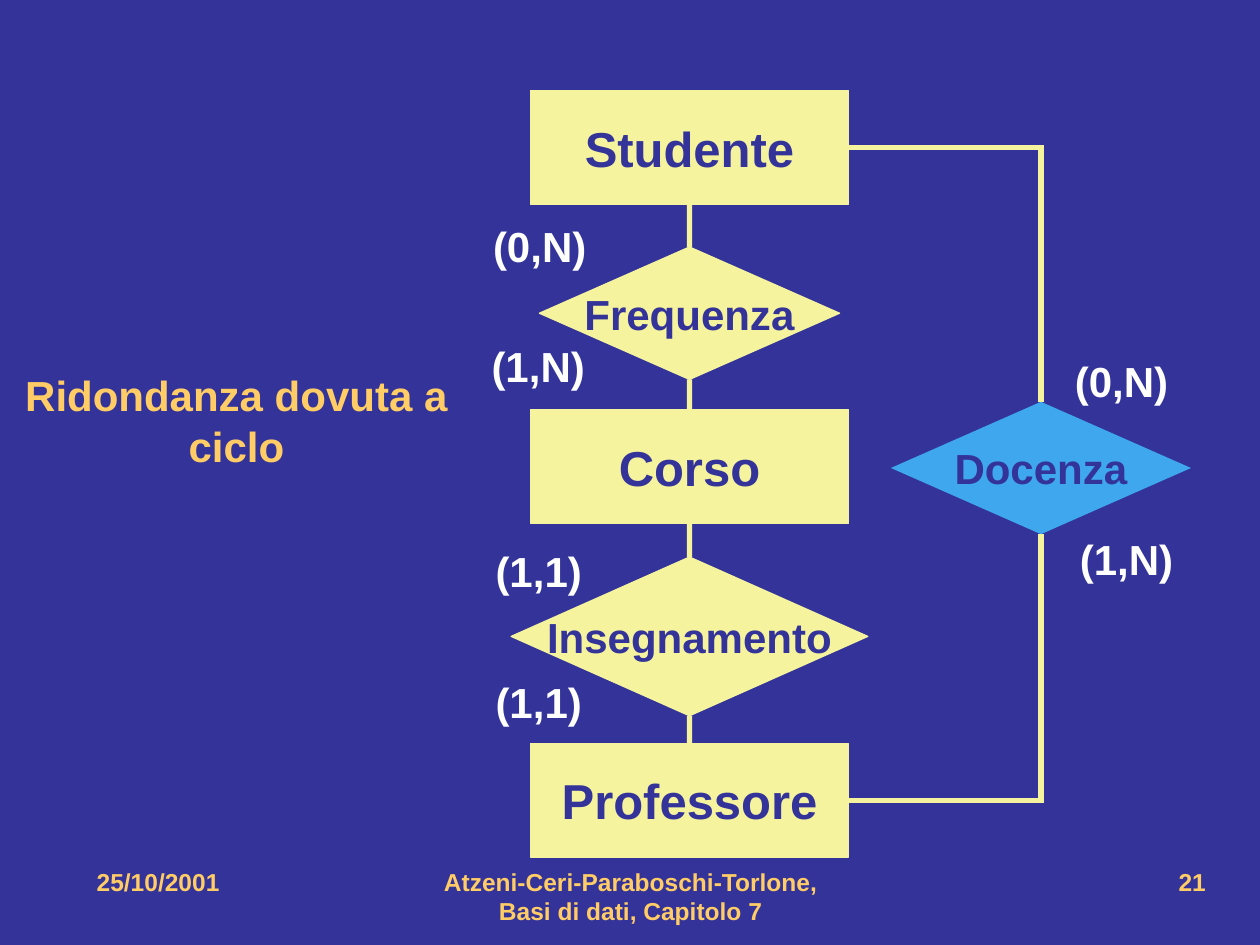
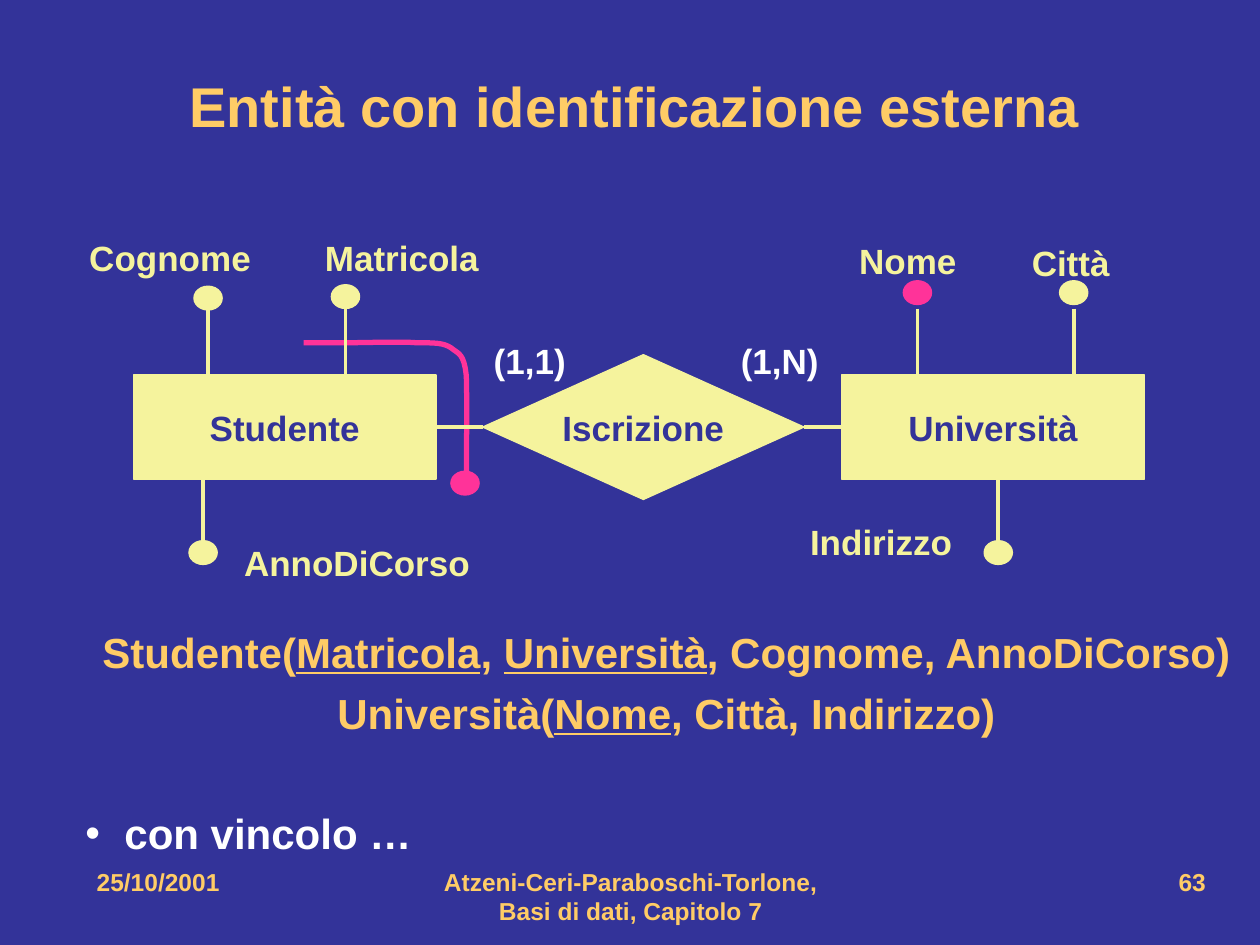
from lxml.etree import SubElement
from pptx import Presentation
from pptx.dml.color import RGBColor
from pptx.enum.shapes import MSO_CONNECTOR as LINK, MSO_SHAPE as SHAPE
from pptx.enum.text import MSO_ANCHOR as ANCHOR, MSO_AUTO_SIZE as FIT, PP_ALIGN as ALIGN
from pptx.oxml.ns import qn
from pptx.util import Cm, Pt

FONT = "Arial"
NAVY, CREAM, GOLD = "333399", "F5F39D", "FFCC66"
WHITE, PINK, SKY = "FFFFFF", "FF3399", "3EA7EE"
TOP, LEFT, BOTTOM, RIGHT = range(4)

# Footers: text and box in cm
DATE = ("25/10/2001", (1.7, 17.35, 5.51, 1.27), ALIGN.LEFT)
BOOK = ("Atzeni-Ceri-Paraboschi-Torlone, Basi di dati, Capitolo 7",
        (8.69, 17.35, 8.05, 1.27), ALIGN.CENTER)
NUMBER_BOX = (18.21, 17.35, 6.35, 1.27)

# Cycle slide: the column runs down one axis; (name, shape, top, width, height, size)
COLUMN_X = 13.9
COLUMN = [
    ("Studente", SHAPE.RECTANGLE, 1.83, 6.4, 2.29, 28),
    ("Frequenza", SHAPE.DIAMOND, 4.98, 6.05, 2.67, 24),
    ("Corso", SHAPE.RECTANGLE, 8.26, 6.4, 2.29, 28),
    ("Insegnamento", SHAPE.DIAMOND, 11.23, 7.19, 3.2, 24),
    ("Professore", SHAPE.RECTANGLE, 14.99, 6.4, 2.29, 28),
]
DOCENZA_BOX = (17.96, 8.1, 6.05, 2.67)
CYCLE_CARDINALITIES = [
    ("(0,N)", 9.58, 4.32), ("(1,N)", 9.55, 6.73),
    ("(1,1)", 9.56, 10.87), ("(1,1)", 9.56, 13.51),
    ("(0,N)", 21.31, 7.04), ("(1,N)", 21.41, 10.62),
]

# External identification slide
ENTITY_Y, ENTITY_W, ENTITY_H = 7.56, 6.1, 2.1
STUDENT_X, UNIVERSITY_X = 2.69, 16.97
ENROLMENT_BOX = (9.73, 7.15, 6.48, 2.92)
DOT_W, DOT_H = 0.57, 0.48
UPPER_STEM = (6.22, ENTITY_Y)
LOWER_STEM = (10.92, ENTITY_Y + ENTITY_H)
# (name, label left, top, width, dot left, top, dot colour, stem ends)
ATTRIBUTES = [
    ("Cognome", 1.55, 4.65, 4, 3.91, 5.77, CREAM, UPPER_STEM),
    ("Matricola", 6.3, 4.65, 4, 6.68, 5.74, CREAM, UPPER_STEM),
    ("AnnoDiCorso", 4.67, 10.8, 5.5, 3.81, 10.9, CREAM, LOWER_STEM),
    ("Nome", 17.07, 4.7, 3, 18.21, 5.66, PINK, UPPER_STEM),
    ("Città", 20.55, 4.75, 2.5, 21.36, 5.66, CREAM, UPPER_STEM),
    ("Indirizzo", 16.08, 10.36, 3.7, 19.84, 10.9, CREAM, LOWER_STEM),
]
IDENTIFIER_DOT = (9.09, 9.5)
IDENTIFIER_START = (6.12, 6.91)
IDENTIFIER_CURVES = [
    ((6.27, 6.91), (6.6, 6.91), (6.99, 6.91)),
    ((7.37, 6.91), (8.05, 6.88), (8.41, 6.91)),
    ((8.76, 6.91), (8.94, 6.91), (9.09, 7.01)),
    ((9.25, 7.14), (9.35, 7.12), (9.4, 7.57)),
    ((9.42, 8.03), (9.4, 9.32), (9.4, 9.78)),
]
ENROLMENT_CARDINALITIES = [("(1,1)", 9.53, 6.71), ("(1,N)", 14.57, 6.71)]
RELATIONS = [
    "Studente(_Matricola_, _Università_, Cognome, AnnoDiCorso)",
    "Università(_Nome_, Città, Indirizzo)",
]
CONSTRAINT = "con vincolo …"


def rgb(color):
    return RGBColor.from_string(color)


def cm(values):
    return [Cm(v) for v in values]


def write(p, text, size=24, color=GOLD, align=ALIGN.LEFT, before=0):
    """Fill a paragraph; parts between underscores are underlined."""
    p.alignment = align
    p.space_before = Pt(before)
    for i, part in enumerate(text.split("_")):
        r = p.add_run()
        r.text = part
        f = r.font
        f.name, f.size, f.bold = FONT, Pt(size), True
        f.underline = i % 2 == 1
        f.color.rgb = rgb(color)


def add_text(slide, text, box, anchor=ANCHOR.TOP, **fmt):
    tf = slide.shapes.add_textbox(*cm(box)).text_frame
    tf.word_wrap = True
    tf.vertical_anchor = anchor
    write(tf.paragraphs[0], text, **fmt)
    return tf


def add_cardinality(slide, text, box, size):
    add_text(slide, text, box, ANCHOR.MIDDLE, size=size, color=WHITE, align=ALIGN.CENTER)


def add_node(slide, kind, box, text="", fill=CREAM, outline=True, size=24):
    sp = slide.shapes.add_shape(kind, *cm(box))
    sp.shadow.inherit = False
    sp.fill.solid()
    sp.fill.fore_color.rgb = rgb(fill)
    if outline:
        sp.line.color.rgb = rgb(fill)
        sp.line.width = Pt(0.75)
    else:
        sp.line.fill.background()
    if text:
        tf = sp.text_frame
        tf.word_wrap = False
        tf.vertical_anchor = ANCHOR.MIDDLE
        write(tf.paragraphs[0], text, size, NAVY, ALIGN.CENTER)
    return sp


def add_line(slide, ends=(0, 0, 0, 0), width=2.25, kind=LINK.STRAIGHT):
    line = slide.shapes.add_connector(kind, *cm(ends))
    line.line.color.rgb = rgb(CREAM)
    line.line.width = Pt(width)
    spPr = line._element.spPr
    SubElement(spPr.find(qn("a:ln")), qn("a:miter")).set("lim", "800000")
    SubElement(spPr, qn("a:effectLst"))
    return line


def join(slide, start, start_side, end, end_side, width, kind=LINK.STRAIGHT):
    line = add_line(slide, width=width, kind=kind)
    line.begin_connect(start, start_side)
    line.end_connect(end, end_side)
    if kind == LINK.ELBOW:  # a single corner
        line._element.spPr.find(qn("a:prstGeom")).set("prst", "bentConnector2")


def add_dot(slide, left, top, color):
    add_node(slide, SHAPE.OVAL, (left, top, DOT_W, DOT_H), fill=color)


def add_identifier(slide, steps=8):
    """Draw the chain of cubic curves as a fine polyline, with its dot."""
    points, start = [], IDENTIFIER_START
    for a, b, end in IDENTIFIER_CURVES:
        for t in (i / steps for i in range(1, steps + 1)):
            u = 1 - t
            points.append(cm(u**3 * p0 + 3 * u * u * t * p1 + 3 * u * t * t * p2 + t**3 * p3
                             for p0, p1, p2, p3 in zip(start, a, b, end)))
        start = end
    fb = slide.shapes.build_freeform(*cm(IDENTIFIER_START))
    fb.add_line_segments(points, close=False)
    sp = fb.convert_to_shape()
    sp.shadow.inherit = False
    sp.fill.background()
    sp.line.color.rgb = rgb(PINK)
    sp.line.width = Pt(3)
    add_dot(slide, *IDENTIFIER_DOT, PINK)


def new_slide(prs, title, box, size, number):
    slide = prs.slides.add_slide(prs.slide_layouts[5])
    sp = slide.shapes.title
    sp.left, sp.top, sp.width, sp.height = cm(box)
    tf = sp.text_frame
    tf.auto_size, tf.word_wrap = FIT.NONE, True
    tf.vertical_anchor = ANCHOR.MIDDLE
    write(tf.paragraphs[0], title, size, align=ALIGN.CENTER)
    for text, place, align in (DATE, BOOK, (number, NUMBER_BOX, ALIGN.RIGHT)):
        add_text(slide, text, place, size=14, align=align)
    return slide


def cycle_slide(prs):
    slide = new_slide(prs, "Ridondanza dovuta a ciclo", (0, 6.78, 9.53, 3.38), 24, "21")
    nodes = [add_node(slide, kind, (COLUMN_X - w / 2, y, w, h), name, size=size)
             for name, kind, y, w, h, size in COLUMN]
    for upper, lower in zip(nodes, nodes[1:]):
        join(slide, upper, BOTTOM, lower, TOP, 3)
    docenza = add_node(slide, SHAPE.DIAMOND, DOCENZA_BOX, "Docenza", SKY, outline=False)
    join(slide, nodes[0], RIGHT, docenza, TOP, 3, LINK.ELBOW)
    join(slide, nodes[-1], RIGHT, docenza, BOTTOM, 3, LINK.ELBOW)
    for text, x, y in CYCLE_CARDINALITIES:
        add_cardinality(slide, text, (x, y, 2.6, 1.27), 24)


def add_bullet(p):
    pPr = p._p.get_or_add_pPr()
    pPr.set("marL", str(Cm(0.79)))
    pPr.set("indent", str(-Cm(0.79)))
    color = SubElement(SubElement(pPr, qn("a:buClr")), qn("a:srgbClr"))
    color.set("val", WHITE)
    SubElement(pPr, qn("a:buFont")).set("typeface", FONT)
    SubElement(pPr, qn("a:buChar")).set("char", "•")


def identification_slide(prs):
    slide = new_slide(prs, "Entità con identificazione esterna",
                      (1.27, 0.64, 23.06, 2.97), 32, "63")
    add_identifier(slide)
    student, university = [
        add_node(slide, SHAPE.RECTANGLE, (x, ENTITY_Y, ENTITY_W, ENTITY_H), name, size=20)
        for name, x in (("Studente", STUDENT_X), ("Università", UNIVERSITY_X))]
    enrolment = add_node(slide, SHAPE.DIAMOND, ENROLMENT_BOX, "Iscrizione", size=20)
    join(slide, student, RIGHT, enrolment, LEFT, 2.25)
    join(slide, enrolment, RIGHT, university, LEFT, 2.25)

    for name, x, y, w, dot_x, dot_y, color, (start, end) in ATTRIBUTES:
        stem_x = dot_x + DOT_W / 2
        add_line(slide, (stem_x, start, stem_x, end))
        add_dot(slide, dot_x, dot_y, color)
        add_text(slide, name, (x, y, w, 1.12), size=20, color=CREAM)
    for text, x, y in ENROLMENT_CARDINALITIES:
        add_cardinality(slide, text, (x, y, 2.3, 1.12), 20)

    first, second = RELATIONS
    tf = add_text(slide, first, (1.47, 12.5, 23.93, 4.65), align=ALIGN.CENTER)
    write(tf.add_paragraph(), second, align=ALIGN.CENTER, before=6)
    p = tf.add_paragraph()
    write(p, CONSTRAINT, color=WHITE, before=40)
    add_bullet(p)


def main():
    prs = Presentation()
    prs.slide_width, prs.slide_height = Cm(25.4), Cm(19.05)
    fill = prs.slide_master.background.fill
    fill.solid()
    fill.fore_color.rgb = rgb(NAVY)
    cycle_slide(prs)
    identification_slide(prs)
    prs.save("out.pptx")


if __name__ == "__main__":
    main()
